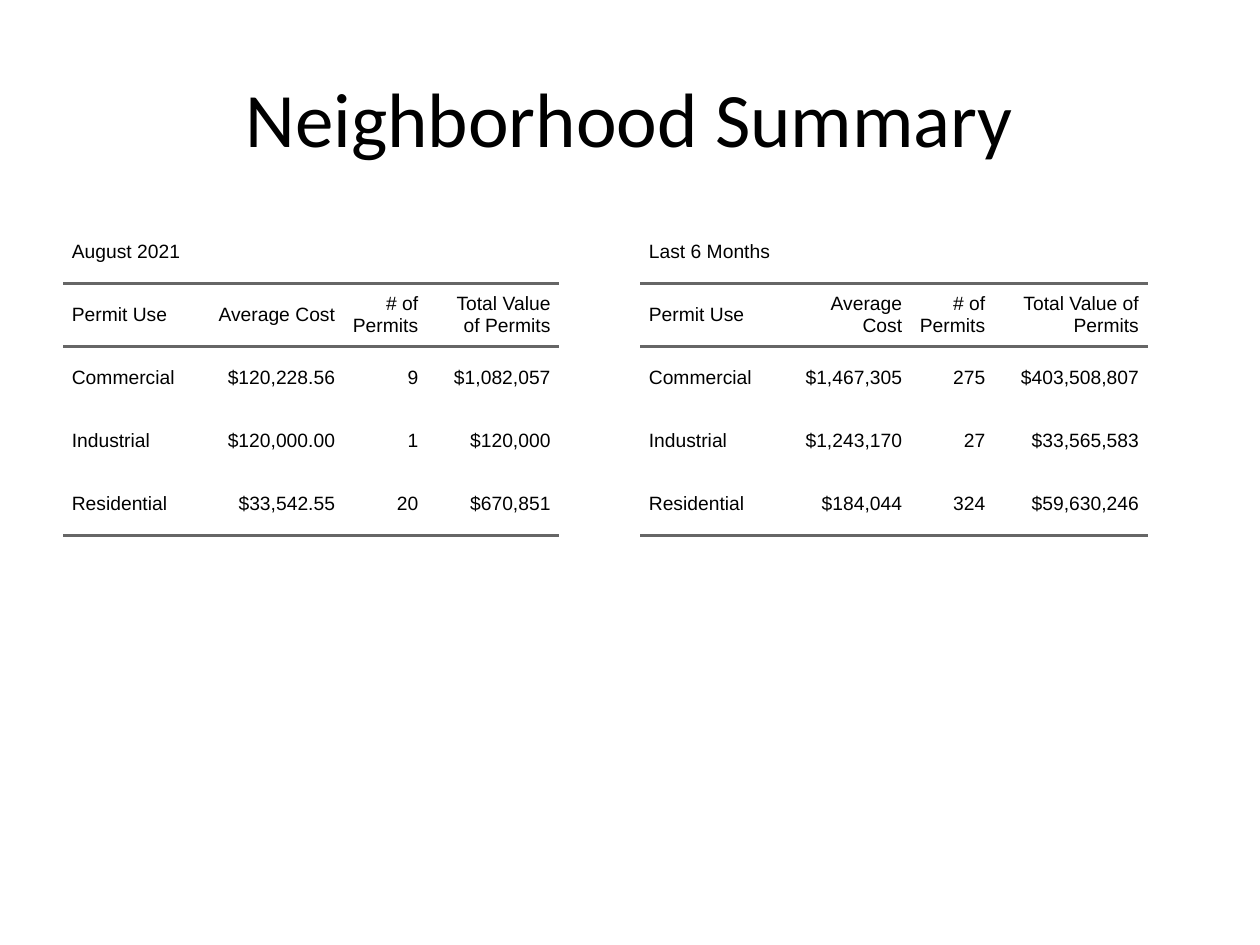
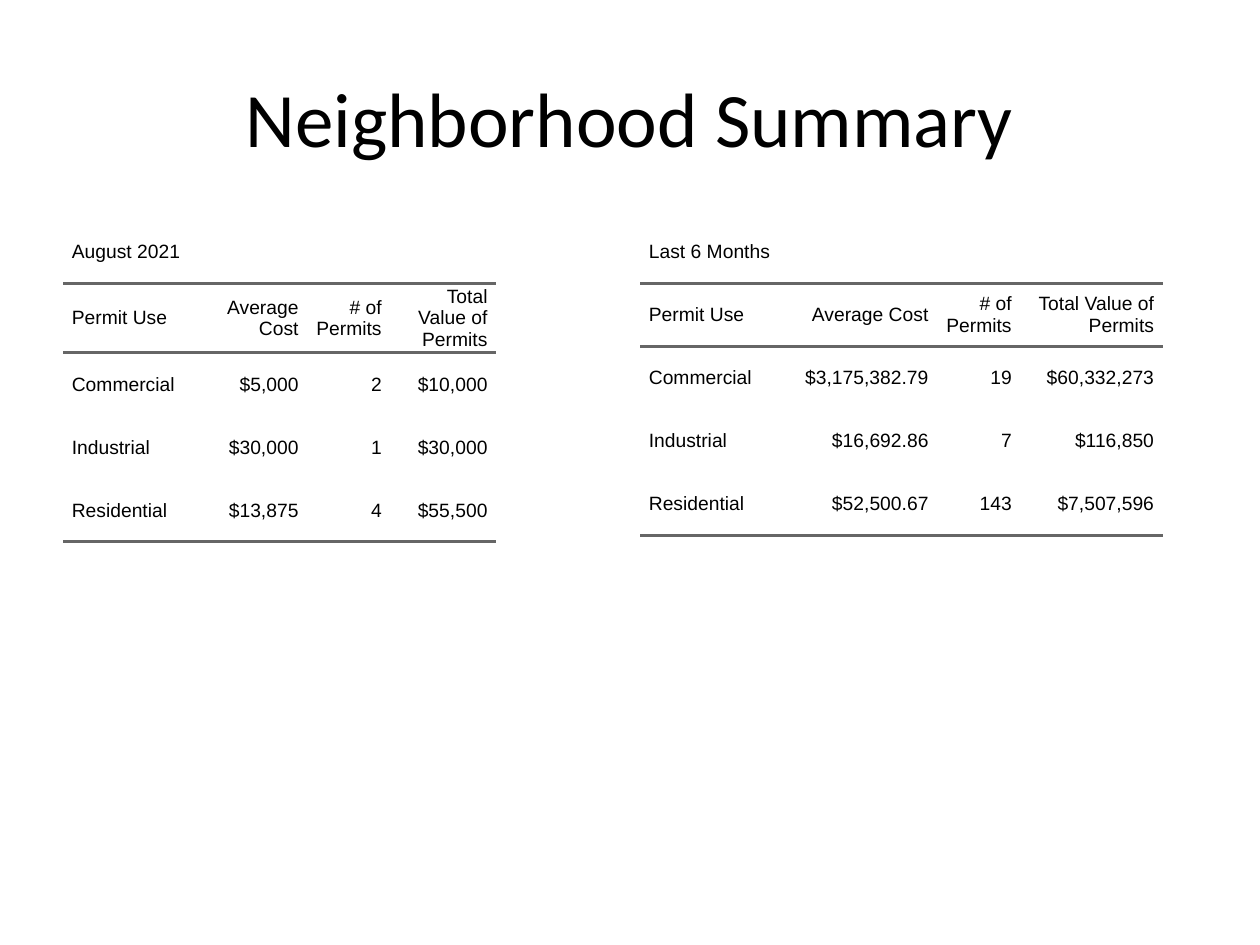
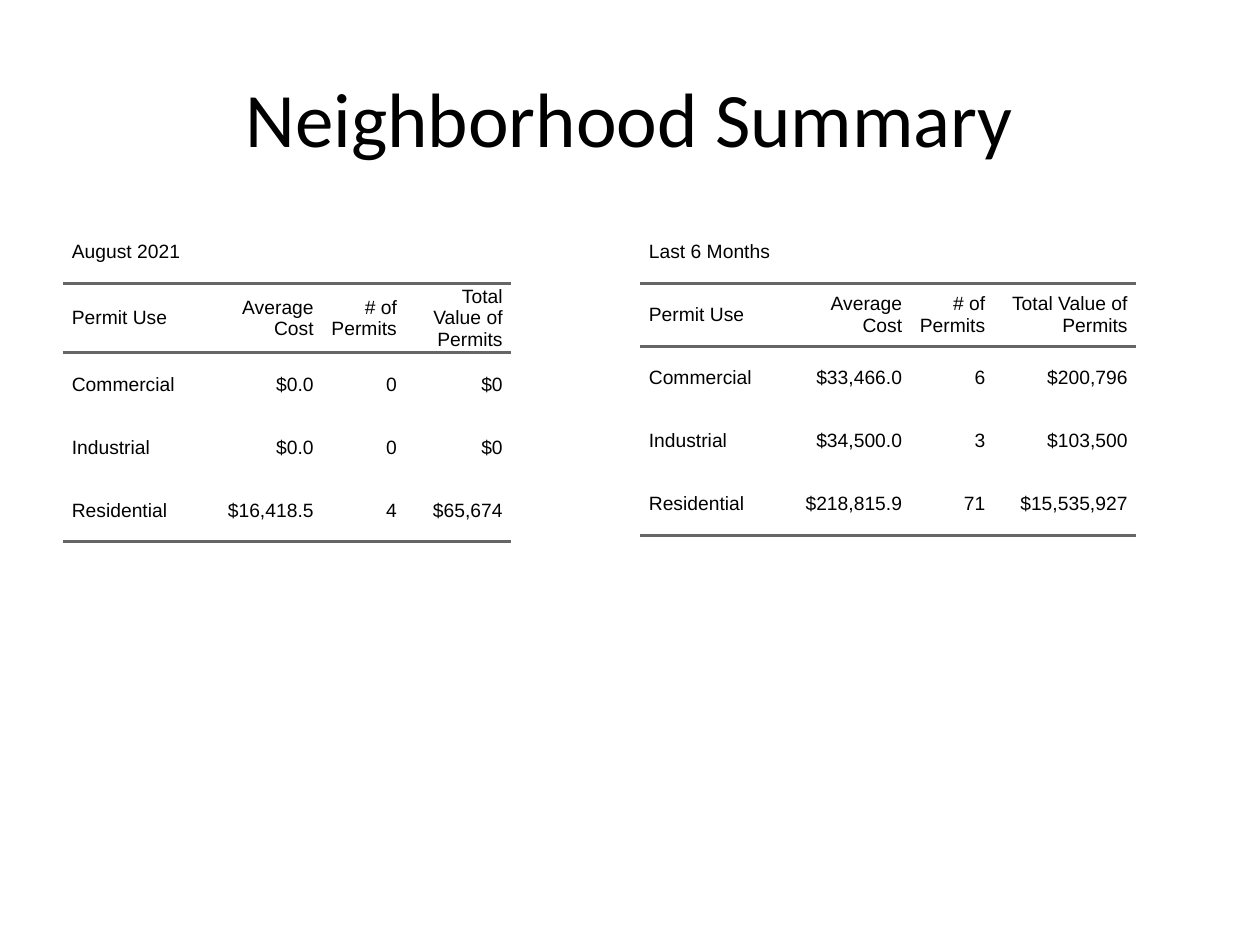
import dataclasses

import lxml.etree
import pptx
import pptx.dml.color
import pptx.enum.text
import pptx.oxml.ns
import pptx.util
from pptx.util import Inches

ALIGN = pptx.enum.text.PP_ALIGN
MIDDLE = pptx.enum.text.MSO_ANCHOR.MIDDLE


@dataclasses.dataclass(frozen=True)
class Theme:
    ink: str = "000000"
    rule: str = "666666"
    rule_width: float = 2
    title_font: str = "Calibri"
    title_size: float = 44
    table_font: str = "Arial"
    table_size: float = 11
    plain_table_style: str = "{2D5ABB26-0587-4C30-8999-92F81FD0307C}"


THEME = Theme()
TITLE = "Neighborhood Summary"
TITLE_BOX = (0.5, 0.3, 9, 1.25)
TABLE_TOP = 1.75
ROW_HEIGHT = 0.5
CELL_PADDING = 0.07
USE_WIDTH, COUNT_WIDTH = 1.1, 0.66
PERIODS = [("August 2021", 0.5), ("Last 6 Months", 5.08)]
HEADINGS = ["Permit Use", "Average Cost", "# of Permits", "Total Value of Permits"]
USES = ["Commercial", "Industrial", "Residential"]


@dataclasses.dataclass(frozen=True)
class PermitSummary:
    """Column widths, and average cost, permit count and total for each use."""
    cost_width: float
    total_width: float
    figures: list


NEIGHBORHOODS = [
    (
        PermitSummary(1.13, 1.05, [
            ("$120,228.56", "9", "$1,082,057"),
            ("$120,000.00", "1", "$120,000"),
            ("$33,542.55", "20", "$670,851"),
        ]),
        PermitSummary(1.05, 1.22, [
            ("$1,467,305", "275", "$403,508,807"),
            ("$1,243,170", "27", "$33,565,583"),
            ("$184,044", "324", "$59,630,246"),
        ]),
    ),
    (
        PermitSummary(0.84, 0.84, [
            ("$5,000", "2", "$10,000"),
            ("$30,000", "1", "$30,000"),
            ("$13,875", "4", "$55,500"),
        ]),
        PermitSummary(1.26, 1.13, [
            ("$3,175,382.79", "19", "$60,332,273"),
            ("$16,692.86", "7", "$116,850"),
            ("$52,500.67", "143", "$7,507,596"),
        ]),
    ),
    (
        PermitSummary(0.96, 0.84, [
            ("$0.0", "0", "$0"),
            ("$0.0", "0", "$0"),
            ("$16,418.5", "4", "$65,674"),
        ]),
        PermitSummary(1.05, 1.13, [
            ("$33,466.0", "6", "$200,796"),
            ("$34,500.0", "3", "$103,500"),
            ("$218,815.9", "71", "$15,535,927"),
        ]),
    ),
]


def write(text_frame, text, font, size, align):
    paragraph = text_frame.paragraphs[0]
    paragraph.alignment = align
    run = paragraph.add_run()
    run.text = text
    run.font.name = font
    run.font.size = pptx.util.Pt(size)
    run.font.color.rgb = pptx.dml.color.RGBColor.from_string(THEME.ink)


def add_title(slide, box):
    title = slide.shapes.add_textbox(*map(Inches, box)).text_frame
    title.word_wrap = True
    title.vertical_anchor = MIDDLE
    write(title, TITLE, THEME.title_font, THEME.title_size, ALIGN.CENTER)


def rule_cell(cell, edges):
    """Draw rules on the given edges, "T" for top and "B" for bottom."""
    qn = pptx.oxml.ns.qn
    properties = cell._tc.get_or_add_tcPr()
    for position, edge in enumerate(edges):
        line = lxml.etree.Element(qn(f"a:ln{edge}"), w=str(pptx.util.Pt(THEME.rule_width)))
        fill = lxml.etree.SubElement(line, qn("a:solidFill"))
        lxml.etree.SubElement(fill, qn("a:srgbClr"), val=THEME.rule)
        properties.insert(position, line)


def fill_cell(cell, text, align, edges=""):
    cell.fill.background()
    cell.vertical_anchor = MIDDLE
    cell.margin_left = cell.margin_right = Inches(CELL_PADDING)
    cell.margin_top = cell.margin_bottom = 0
    if text:
        write(cell.text_frame, text, THEME.table_font, THEME.table_size, align)
    rule_cell(cell, edges)


def add_permit_table(slide, left, top, period, summary):
    rows = [[period, "", "", ""], HEADINGS]
    rows += [[use, *figures] for use, figures in zip(USES, summary.figures)]
    widths = [USE_WIDTH, summary.cost_width, COUNT_WIDTH, summary.total_width]
    box = (left, top, sum(widths), ROW_HEIGHT * len(rows))
    table = slide.shapes.add_table(len(rows), len(widths), *map(Inches, box)).table
    table.first_row = table.horz_banding = False
    style = table._tbl.tblPr.find(pptx.oxml.ns.qn("a:tableStyleId"))
    style.text = THEME.plain_table_style
    for column, width in zip(table.columns, widths):
        column.width = Inches(width)

    row_edges = {1: "TB", len(rows) - 1: "B"}
    for row, texts in enumerate(rows):
        for column, text in enumerate(texts):
            align = ALIGN.RIGHT if column else ALIGN.LEFT
            fill_cell(table.cell(row, column), text, align, row_edges.get(row, ""))
    table.cell(0, 0).merge(table.cell(0, len(widths) - 1))


def add_neighborhood_slide(deck, summaries):
    slide = deck.slides.add_slide(deck.slide_layouts[6])
    for (period, left), summary in zip(PERIODS, summaries):
        add_permit_table(slide, left, TABLE_TOP, period, summary)
    add_title(slide, TITLE_BOX)


def main():
    deck = pptx.Presentation()
    deck.slide_width, deck.slide_height = Inches(10), Inches(7.5)
    for summaries in NEIGHBORHOODS:
        add_neighborhood_slide(deck, summaries)
    deck.save("out.pptx")


if __name__ == "__main__":
    main()
